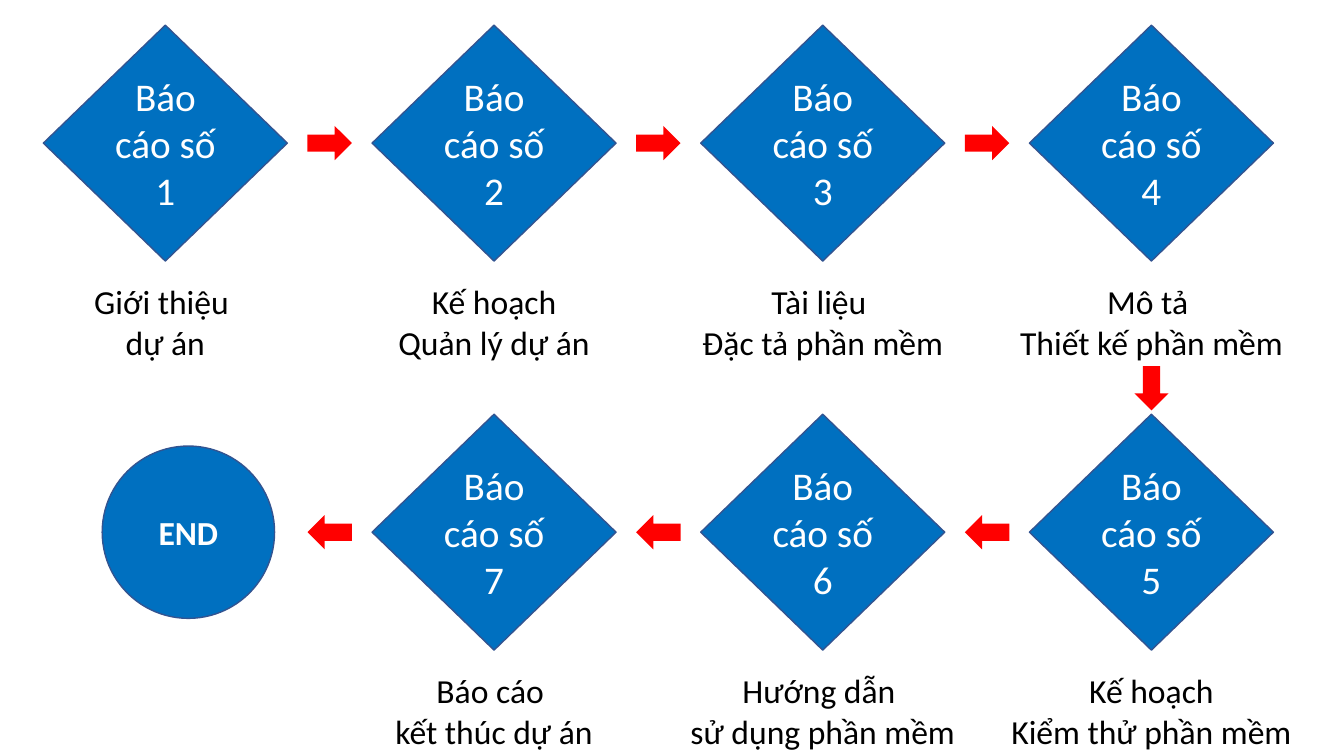
from pptx import Presentation
from pptx.dml.color import RGBColor
from pptx.enum.shapes import MSO_SHAPE as Preset
from pptx.enum.text import MSO_ANCHOR as Anchor, MSO_AUTO_SIZE as AutoSize, PP_ALIGN as Align
from pptx.util import Inches, Pt

COLUMN, ROW = 3.26, 3.86
FIRST_X, FIRST_Y = 1.64, 1.42
CAPTION_DROP = 0.46

# column, row, number, caption lines
REPORTS = [
    (0, 0, 1, ["Giới thiệu ", "dự án"]),
    (1, 0, 2, ["Kế hoạch", "Quản lý dự án"]),
    (2, 0, 3, ["Tài liệu ", "Đặc tả phần mềm"]),
    (3, 0, 4, ["Mô tả ", "Thiết kế phần mềm"]),
    (3, 1, 5, ["Kế hoạch", "Kiểm thử phần mềm"]),
    (2, 1, 6, ["Hướng dẫn ", "sử dụng phần mềm"]),
    (1, 1, 7, ["Báo cáo ", "kết thúc dự án"]),
]


def color(code):
    return RGBColor.from_string(code)


class FlowSlide:
    font, blue, outline, red = "Calibri", "0070C0", "325491", "FF0000"

    def __init__(self, page):
        self.page = page

    def frame(self, column, row, width, height):
        """Give a box in inches, centred on a grid position."""
        left = FIRST_X + column * COLUMN - width / 2
        top = FIRST_Y + row * ROW - height / 2
        return [Inches(value) for value in (left, top, width, height)]

    def add_lines(self, box, lines, ink, **formats):
        text = box.text_frame
        text.word_wrap = True
        for index, line in enumerate(lines):
            para = text.paragraphs[0] if index == 0 else text.add_paragraph()
            para.alignment = Align.CENTER
            span = para.add_run()
            span.text = line
            span.font.color.rgb = color(ink)
            for name, value in {"name": self.font, **formats}.items():
                setattr(span.font, name, value)

    def shape(self, preset, fill, *place):
        box = self.page.shapes.add_shape(preset, *self.frame(*place))
        box.shadow.inherit = False
        box.fill.solid()
        box.fill.fore_color.rgb = color(fill)
        return box

    def node(self, preset, label, *place, **formats):
        box = self.shape(preset, self.blue, *place)
        box.line.color.rgb = color(self.outline)
        box.line.width = Pt(1)
        box.text_frame.vertical_anchor = Anchor.MIDDLE
        self.add_lines(box, [label], "FFFFFF", **formats)

    def caption(self, lines, column, row):
        box = self.page.shapes.add_textbox(*self.frame(column, row + CAPTION_DROP, 3.27, 0.91))
        self.add_lines(box, lines, "000000", size=Pt(24))
        box.text_frame.auto_size = AutoSize.SHAPE_TO_FIT_TEXT

    def arrow(self, column, row, angle):
        box = self.shape(Preset.RIGHT_ARROW, self.red, column, row, 0.44, 0.34)
        box.line.fill.background()
        box.rotation = angle


def main():
    deck = Presentation()
    deck.slide_width, deck.slide_height = Inches(13.33), Inches(7.5)
    flow = FlowSlide(deck.slides.add_slide(deck.slide_layouts[6]))

    for column, row, number, lines in REPORTS:
        flow.node(Preset.DIAMOND, f"Báo cáo số {number}", column, row, 2.42, 2.34, size=Pt(28))
        flow.caption(lines, column, row)
    for row, angle in enumerate((0, 180)):
        for column in range(3):
            flow.arrow(column + 0.5, row, angle)
    flow.arrow(3, 0.63, 90)
    flow.node(Preset.OVAL, "END", 0.07, 1, 1.71, 1.71, size=Pt(24), bold=True)

    deck.save("out.pptx")


if __name__ == "__main__":
    main()
